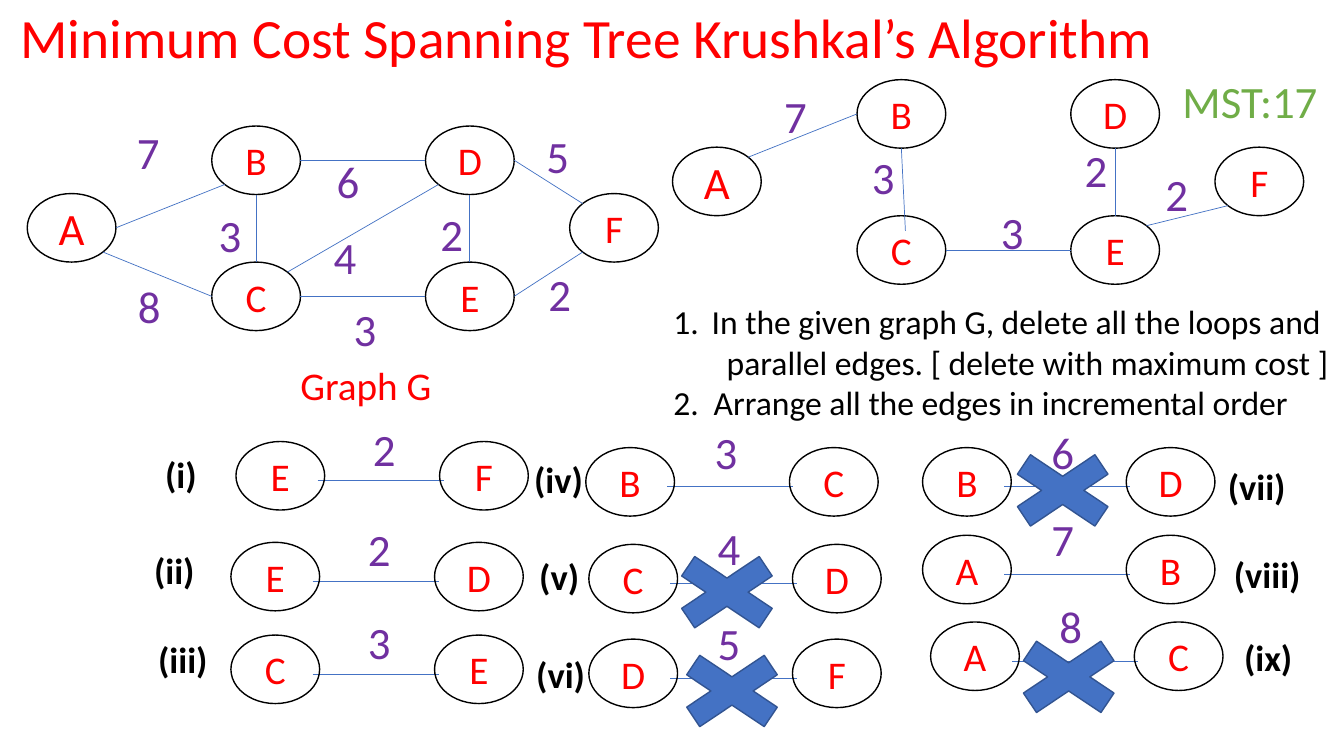
"""Build the slide on the minimum cost spanning tree algorithm."""
from dataclasses import dataclass
from math import sqrt
from typing import Optional

from lxml.etree import SubElement
from pptx import Presentation
from pptx.dml.color import RGBColor
from pptx.enum.shapes import MSO_CONNECTOR as Connector, MSO_SHAPE as Preset
from pptx.enum.text import MSO_ANCHOR as Anchor, PP_ALIGN as Align
from pptx.oxml.ns import qn
from pptx.util import Inches, Pt

Point = tuple[float, float]

COLUMNS, ROWS = 13.33, 7.5
SLIDE_WIDTH, SLIDE_HEIGHT = Inches(COLUMNS), Inches(ROWS)
COLORS = {
    "red": "FF0000", "purple": "7030A0", "green": "70AD47",
    "black": "000000", "blue": "4472C4", "navy": "325491",
}
FONT = "Calibri"
NODE_WIDTH, NODE_HEIGHT = 0.88, 0.68
NODE_GAP = 2.02
CROSS_WIDTH, CROSS_HEIGHT = 1.48, 0.99
DIRECTIONS = {
    "top": (0, -1), "bottom": (0, 1), "left": (-1, 0), "right": (1, 0),
    "top left": (-1, -1), "top right": (1, -1),
    "bottom left": (-1, 1), "bottom right": (1, 1),
}
NODES = {
    "A": (0.27, 1.92), "B": (2.1, 1.25), "C": (2.1, 2.6),
    "D": (4.22, 1.25), "E": (4.22, 2.6), "F": (5.65, 1.92),
}


@dataclass(frozen=True)
class Edge:
    """A weighted edge between named sides of two nodes."""
    start: str
    start_side: str
    end: str
    end_side: str
    cost: str
    cost_at: Point
    end_shift: Point = (0, 0)


@dataclass(frozen=True)
class Step:
    """One edge of the ordered list, crossed out when it is rejected."""
    numeral: str
    numeral_at: Point
    numeral_width: float
    nodes: str
    cost: str
    at: Point
    cost_offset: Point = (1.18, -0.28)
    cross_offset: Optional[Point] = None


@dataclass(frozen=True)
class ListLine:
    """A line of the instructions, numbered or plain."""
    text: str
    indent: float
    number: Optional[int] = None


GRAPH_EDGES = [
    Edge("A", "right", "B", "bottom left", "7", (1.26, 1.19)),
    Edge("A", "bottom right", "C", "left", "8", (1.27, 2.72)),
    Edge("C", "top right", "D", "bottom left", "4", (3.21, 2.23)),
    Edge("B", "right", "D", "left", "6", (3.24, 1.48)),
    Edge("C", "right", "E", "left", "3", (3.41, 2.94)),
    Edge("E", "top", "D", "bottom", "2", (4.27, 2.0)),
    Edge("D", "right", "F", "top left", "5", (5.32, 1.23)),
    Edge("E", "right", "F", "bottom left", "2", (5.34, 2.6)),
    Edge("C", "top", "B", "bottom", "3", (2.07, 2.01)),
]
TREE_EDGES = [
    Edge("E", "top right", "F", "bottom left", "2", (11.46, 1.61)),
    Edge("D", "bottom", "E", "top", "2", (10.66, 1.37)),
    Edge("C", "right", "E", "left", "3", (9.83, 1.98)),
    Edge("B", "bottom", "C", "top", "3", (8.55, 1.44), (0.04, 0.15)),
    Edge("A", "top right", "B", "left", "7", (7.68, 0.83)),
]
STEPS = [
    Step("(i)", (1.54, 4.44), 0.56, "EF", "2", (2.34, 4.38), (1.26, -0.25)),
    Step("(ii)", (1.43, 5.39), 0.74, "ED", "2", (2.29, 5.38), (1.26, -0.25)),
    Step("(iii)", (1.47, 6.27), 0.75, "CE", "3", (2.29, 6.3), (1.26, -0.25)),
    Step("(iv)", (5.2, 4.49), 0.76, "BC", "3", (5.81, 4.44)),
    Step("(v)", (5.25, 5.45), 0.66, "CD", "4", (5.84, 5.4), cross_offset=(0.63, -0.02)),
    Step("(vi)", (5.22, 6.42), 0.75, "DF", "5", (5.84, 6.34), cross_offset=(0.68, 0.02)),
    Step("(vii)", (12.08, 4.56), 0.9, "BD", "6", (9.15, 4.44), cross_offset=(0.65, -0.07)),
    Step("(viii)", (12.14, 5.43), 0.87, "AB", "7", (9.15, 5.31)),
    Step("(ix)", (12.24, 6.25), 0.81, "AC", "8", (9.23, 6.17), cross_offset=(0.63, 0.05)),
]
INSTRUCTIONS = [
    ListLine("In the given graph G, delete all the loops and", 0.38, 1),
    ListLine("parallel edges. [ delete with maximum cost ]", 0.53),
    ListLine("Arrange all the edges in incremental order", 0.4, 2),
]


def across(columns: float) -> int:
    return round(SLIDE_WIDTH * columns / COLUMNS)


def down(rows: float) -> int:
    return round(SLIDE_HEIGHT * rows / ROWS)


def shifted(point: Point, offset: Point) -> Point:
    return point[0] + offset[0], point[1] + offset[1]


def color(name: str) -> RGBColor:
    return RGBColor.from_string(COLORS[name])


def format_runs(text_frame, size: float, color_name: str, bold: bool = False) -> None:
    for paragraph in text_frame.paragraphs:
        for run in paragraph.runs:
            run.font.name, run.font.size, run.font.bold = FONT, Pt(size), bold
            run.font.color.rgb = color(color_name)


def add_label(slide, text: str, at: Point, size: float, color_name: str,
              width: float = 0.43, height: float = 0.64,
              bold: bool = False, wrap: bool = False):
    box = slide.shapes.add_textbox(across(at[0]), down(at[1]), across(width), down(height))
    text_frame = box.text_frame
    text_frame.word_wrap = wrap
    text_frame.text = text
    format_runs(text_frame, size, color_name, bold)
    return text_frame


def add_preset(slide, preset: Preset, at: Point, width: float, height: float, line: str):
    shape = slide.shapes.add_shape(
        preset, across(at[0]), down(at[1]), across(width), down(height))
    shape.shadow.inherit = False
    shape.line.color.rgb, shape.line.width = color(line), Pt(1)
    return shape


def add_node(slide, name: str, at: Point, size: float = 28) -> None:
    shape = add_preset(slide, Preset.OVAL, at, NODE_WIDTH, NODE_HEIGHT, "black")
    shape.fill.background()
    text_frame = shape.text_frame
    text_frame.text = name
    text_frame.vertical_anchor = Anchor.MIDDLE
    text_frame.paragraphs[0].alignment = Align.CENTER
    format_runs(text_frame, size, "red")


def add_line(slide, start: Point, end: Point) -> None:
    line = slide.shapes.add_connector(
        Connector.STRAIGHT, across(start[0]), down(start[1]), across(end[0]), down(end[1]))
    line.line.color.rgb, line.line.width = color("blue"), Pt(0.5)
    SubElement(line._element.spPr, qn("a:effectLst"))


def node_side(at: Point, side: str) -> Point:
    x, y = DIRECTIONS[side]
    reach = 1 / sqrt(abs(x) + abs(y))
    return (at[0] + NODE_WIDTH / 2 * (1 + x * reach),
            at[1] + NODE_HEIGHT / 2 * (1 + y * reach))


def draw_graph(slide, edges: list[Edge], offset: Point = (0, 0)) -> None:
    places = {name: shifted(at, offset) for name, at in NODES.items()}
    for name, at in places.items():
        add_node(slide, name, at, 32 if name == "A" else 28)
    for edge in edges:
        end = node_side(places[edge.end], edge.end_side)
        add_line(slide, node_side(places[edge.start], edge.start_side),
                 shifted(end, edge.end_shift))
        add_label(slide, edge.cost, edge.cost_at, 32, "purple")


def draw_step(slide, step: Step) -> None:
    add_line(slide, shifted(step.at, (0.81, 0.39)), shifted(step.at, (2.06, 0.39)))
    for index, name in enumerate(step.nodes):
        add_node(slide, name, shifted(step.at, (index * NODE_GAP, 0)))
    add_label(slide, step.cost, shifted(step.at, step.cost_offset), 32, "purple")
    if step.cross_offset:
        cross = add_preset(slide, Preset.MATH_MULTIPLY, shifted(step.at, step.cross_offset),
                           CROSS_WIDTH, CROSS_HEIGHT, "navy")
        cross.fill.solid()
        cross.fill.fore_color.rgb = color("blue")
    add_label(slide, step.numeral, step.numeral_at, 26, "black",
              step.numeral_width, 0.54, bold=True, wrap=True)


def draw_instructions(slide) -> None:
    text = "\n".join(line.text for line in INSTRUCTIONS)
    text_frame = add_label(slide, text, (6.58, 2.94), 24, "black", 6.76, 1.31)
    for paragraph, line in zip(text_frame.paragraphs, INSTRUCTIONS):
        properties = paragraph._p.get_or_add_pPr()
        properties.set("marL", str(across(line.indent)))
        if line.number:
            properties.set("indent", str(-across(line.indent)))
            SubElement(properties, qn("a:buAutoNum"),
                       type="arabicPeriod", startAt=str(line.number))


def main() -> None:
    presentation = Presentation()
    presentation.slide_width, presentation.slide_height = SLIDE_WIDTH, SLIDE_HEIGHT
    slide = presentation.slides.add_slide(presentation.slide_layouts[6])
    title = add_label(slide, "Minimum Cost Spanning Tree Krushkal’s Algorithm",
                      (0.07, 0.11), 39.6, "red", 11.5, 0.59, wrap=True)
    title.vertical_anchor = Anchor.MIDDLE
    title.paragraphs[0].alignment = Align.CENTER
    title.paragraphs[0].line_spacing = 0.9
    draw_graph(slide, GRAPH_EDGES)
    draw_graph(slide, TREE_EDGES, (6.4, -0.46))
    add_label(slide, "Graph G", (2.88, 3.54), 28, "red", 1.52, 0.57)
    add_label(slide, "MST:17", (11.63, 0.68), 32, "green", 1.56)
    draw_instructions(slide)
    for step in STEPS:
        draw_step(slide, step)
    presentation.save("out.pptx")


if __name__ == "__main__":
    main()
